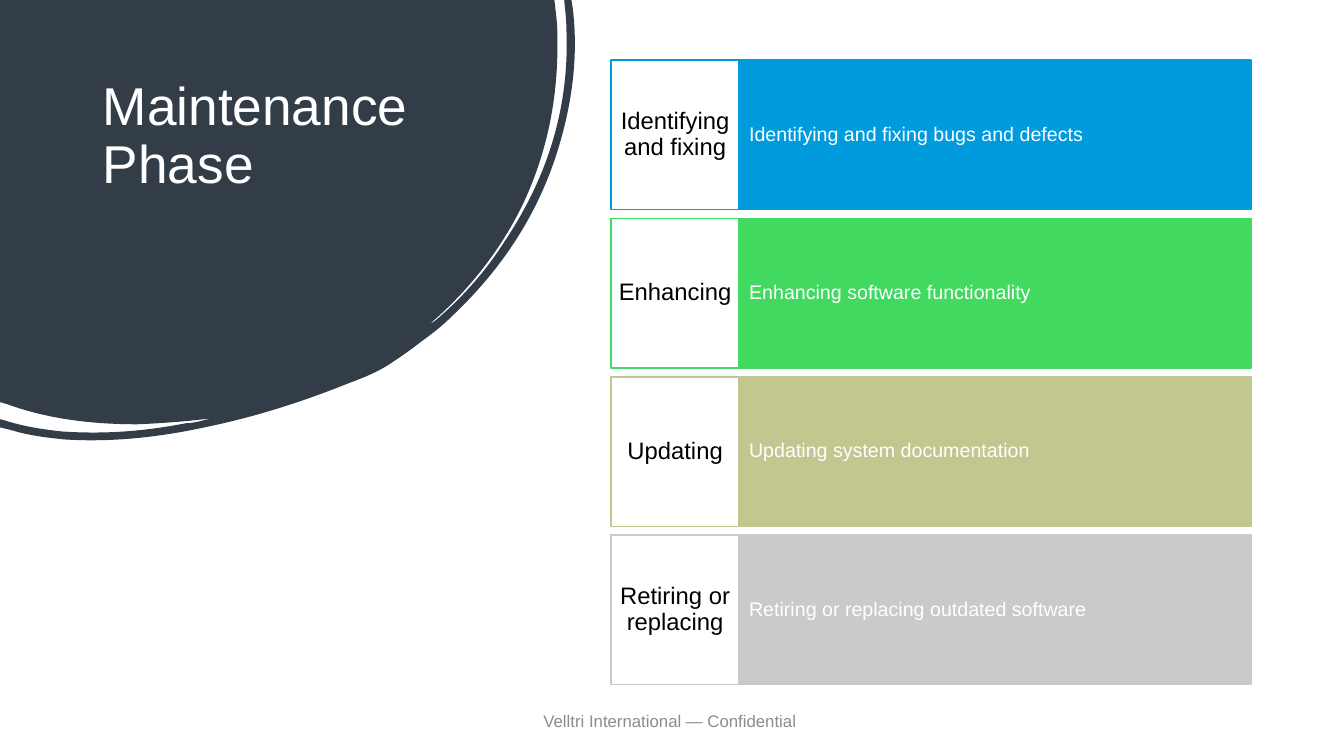
from lxml import etree
from pptx import Presentation
from pptx import util as u
from pptx.dml import color
from pptx.enum import shapes, text
from pptx.oxml import ns

FONT = "Arial"
WHITE = "FFFFFF"
DARK = "323D47"
TOPICS = [
    ("Identifying and fixing", "Identifying and fixing bugs and defects", "009BDD"),
    ("Enhancing", "Enhancing software functionality", "41D95F"),
    ("Updating", "Updating system documentation", "C2C790"),
    ("Retiring or replacing", "Retiring or replacing outdated software", "CACACA"),
]
PAGE_WIDTH, PAGE_HEIGHT = 960, 540
CARD_LEFT, CARD_TOP, CARD_HEIGHT, CARD_PITCH = 436.6, 43, 106.8, 113.1
LABEL_WIDTH, DETAIL_WIDTH = 91.4, 365.6

UNITS_PER_POINT = 100
BLOB_WIDTH, BLOB_HEIGHT = 411.1, 314.6
# Two numbers draw a straight side, six numbers draw a Bézier curve.
BLOB = [
    (396, 0), (397.4, 12.2),
    (398.2, 18.7, 398.2, 25.9, 398.2, 32.4),
    (398.2, 72.7, 390.2, 110.9, 373, 146.9),
    (357.1, 179.3, 334.8, 207.4, 307.4, 231.1),
    (308.9, 231.1, 309.6, 229.7, 311, 229),
    (330.5, 212.4, 347, 193.7, 360.7, 172.1),
    (391, 126.7, 406.8, 77, 404.6, 21.6),
    (404.6, 15.1, 403.9, 8.6, 403.2, 2.2),
    (403.2, 0), (408.2, 0), (409, 5),
    (413.3, 38.9, 409, 73.4, 398.2, 108),
    (383.8, 154.1, 357.8, 193, 322.6, 226.1),
    (316.1, 232.6, 308.9, 238.3, 301.7, 243.4),
    (294.5, 249.1, 287.3, 254.2, 278.6, 259.9),
    (270, 265.7, 259.2, 270, 247.7, 274.3),
    (215.3, 287.3, 181.4, 298.1, 146.2, 305.3),
    (113, 312.5, 79.2, 316.1, 45.4, 313.9),
    (32.4, 312.5, 20.2, 311, 8.6, 307.4),
    (0, 305.3), (0, 299.5), (2.9, 300.2),
    (16.6, 304.6, 30.2, 306.7, 43.9, 308.2),
    (74.2, 310.3, 103, 308.2, 132.5, 302.4),
    (136.1, 302.4, 139, 301.7, 142.6, 301),
    (145.4, 300.2, 148.3, 299.5, 151.2, 298.8),
    (133.9, 301, 115.9, 302.4, 97.9, 303.1),
    (66.2, 303.1, 34.6, 299.5, 5, 288.7),
    (0, 287.3),
]


def rgb(value):
    return color.RGBColor.from_string(value)


def write(box, words, size, ink, align, anchor, spacing=0.9):
    frame = box.text_frame
    frame.word_wrap = True
    frame.auto_size = text.MSO_AUTO_SIZE.NONE
    frame.vertical_anchor = anchor
    para = frame.paragraphs[0]
    para.alignment = align
    para.line_spacing = spacing
    span = para.add_run()
    span.text = words
    span.font.name = FONT
    span.font.size = u.Pt(size)
    span.font.color.rgb = rgb(ink)


def set_insets(box, side, end):
    frame = box.text_frame
    frame.margin_left = frame.margin_right = u.Pt(side)
    frame.margin_top = frame.margin_bottom = u.Pt(end)


def paint(shape, fill, line=None):
    shape.shadow.inherit = False
    shape.fill.solid()
    shape.fill.fore_color.rgb = rgb(fill)
    if line:
        shape.line.color.rgb = rgb(line)
        shape.line.width = u.Pt(1)
    else:
        shape.line.fill.background()


def add_panel(page, left, top, width, height, fill, line=None):
    panel = page.shapes.add_shape(
        shapes.MSO_SHAPE.RECTANGLE,
        u.Pt(left), u.Pt(top), u.Pt(width), u.Pt(height))
    paint(panel, fill, line)
    return panel


def add_card(page, top, label, detail, tint):
    middle = text.MSO_ANCHOR.MIDDLE
    box = add_panel(page, CARD_LEFT + LABEL_WIDTH, top,
                    DETAIL_WIDTH, CARD_HEIGHT, tint, tint)
    set_insets(box, 7.2, 27.4)
    write(box, detail, 14, WHITE, text.PP_ALIGN.LEFT, middle)
    box = add_panel(page, CARD_LEFT, top, LABEL_WIDTH, CARD_HEIGHT, WHITE, tint)
    set_insets(box, 5, 10.8)
    write(box, label, 17, "000000", text.PP_ALIGN.CENTER, middle)


def bend(side, numbers):
    side.tag = ns.qn("a:cubicBezTo")
    side.clear()
    for x, y in zip(numbers[::2], numbers[1::2]):
        etree.SubElement(side, ns.qn("a:pt"),
                         x=str(round(x * UNITS_PER_POINT)),
                         y=str(round(y * UNITS_PER_POINT)))


def add_blob(page):
    builder = page.shapes.build_freeform(0, 0, scale=u.Pt(1) / UNITS_PER_POINT)
    builder.add_line_segments(
        [(side[-2] * UNITS_PER_POINT, side[-1] * UNITS_PER_POINT) for side in BLOB],
        close=True)
    blob = builder.convert_to_shape()
    blob.width, blob.height = u.Pt(BLOB_WIDTH), u.Pt(BLOB_HEIGHT)
    outline = next(blob.element.iter(ns.qn("a:path")))
    outline.set("w", str(round(BLOB_WIDTH * UNITS_PER_POINT)))
    outline.set("h", str(round(BLOB_HEIGHT * UNITS_PER_POINT)))
    for side, numbers in zip(outline.findall(ns.qn("a:lnTo")), BLOB):
        if len(numbers) == 6:
            bend(side, numbers)
    paint(blob, DARK)
    return blob


def add_title(page, words):
    title = page.shapes.title
    title.left, title.top = u.Pt(66.2), u.Pt(53.3)
    title.width, title.height = u.Pt(253.4), u.Pt(159.8)
    write(title, words, 38, WHITE, text.PP_ALIGN.LEFT, text.MSO_ANCHOR.TOP)
    return title


def add_footer(page, words):
    box = page.shapes.add_textbox(u.Pt(318.2), u.Pt(500.4), u.Pt(324), u.Pt(28.8))
    write(box, words, 12, "8C8C8C", text.PP_ALIGN.CENTER, text.MSO_ANCHOR.MIDDLE, 1.0)


def main():
    deck = Presentation()
    deck.slide_width, deck.slide_height = u.Pt(PAGE_WIDTH), u.Pt(PAGE_HEIGHT)
    page = deck.slides.add_slide(deck.slide_layouts[5])
    title = add_title(page, "Maintenance Phase")
    backdrop = add_panel(page, 0, 0, PAGE_WIDTH, PAGE_HEIGHT, WHITE)
    blob = add_blob(page)
    for shape in (backdrop, blob):
        title.element.addprevious(shape.element)
    add_footer(page, "Velltri International — Confidential ")
    for row, topic in enumerate(TOPICS):
        add_card(page, CARD_TOP + row * CARD_PITCH, *topic)
    deck.save("out.pptx")


if __name__ == "__main__":
    main()
